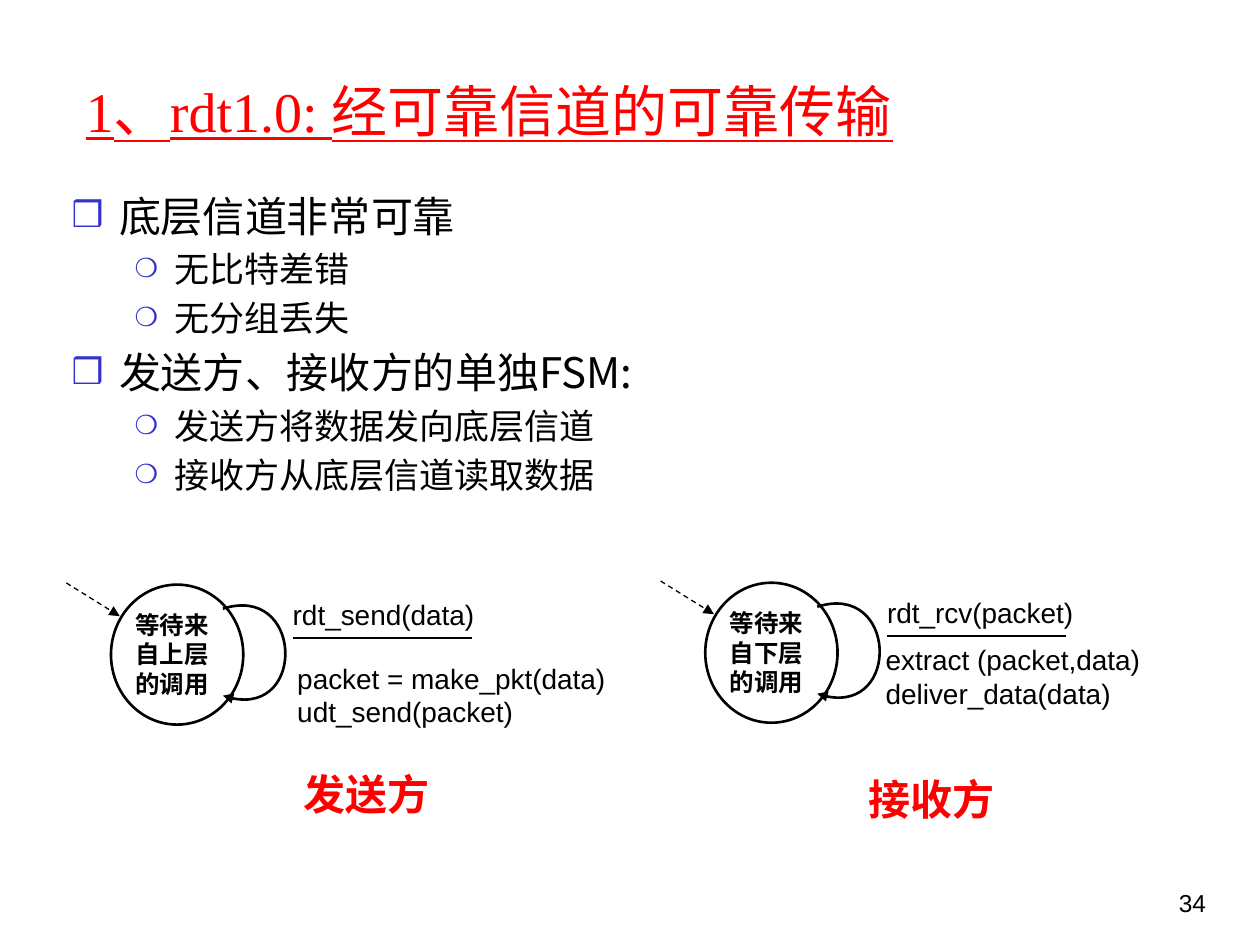
from pptx import Presentation
from pptx.dml.color import RGBColor
from pptx.enum.dml import MSO_LINE
from pptx.enum.shapes import MSO_CONNECTOR, MSO_SHAPE
from pptx.enum.text import MSO_ANCHOR, MSO_AUTO_SIZE, PP_ALIGN
from pptx.oxml.ns import qn
from pptx.util import Pt
from lxml.etree import SubElement

COLORS = {"ink": "000000", "accent": "FF0000", "bullet": "3333CC", "paper": "FFFFFF"}
CJK_FONT = "Noto Sans CJK SC"
FORMATS = {
    "title": {"size": Pt(32), "name": "Times New Roman", "underline": True},
    "topic": {"size": Pt(24), "name": CJK_FONT},
    "detail": {"size": Pt(20), "name": CJK_FONT},
    "state": {"size": Pt(14), "name": "Arial", "bold": True},
    "code": {"size": Pt(16), "name": "Arial"},
    "caption": {"size": Pt(24), "name": "Comic Neue", "bold": True},
    "number": {"size": Pt(14), "name": "Arial"},
}
# bullet character, size in percent, left margin, hanging indent, space before
BULLETS = {
    "topic": ("❒", 85, 27, 27, 4.8),
    "detail": ("❍", 75, 58.5, 22.5, 4),
}
TOPICS = [
    ("topic", "底层信道非常可靠"),
    ("detail", "无比特差错"),
    ("detail", "无分组丢失"),
    ("topic", "发送方、接收方的单独FSM:"),
    ("detail", "发送方将数据发向底层信道"),
    ("detail", "接收方从底层信道读取数据"),
]
MACHINES = [
    {
        "origin": (63.4, 334.1),
        "state": "等待来自上层的调用",
        "event": "rdt_send(data)",
        "actions": ["packet = make_pkt(data)", "udt_send(packet)"],
        "actions_at": (99.4, 40.3),
        "caption": "发送方",
        "caption_at": (102.2, 101.5),
    },
    {
        "origin": (403, 333),
        "state": "等待来自下层的调用",
        "event": "rdt_rcv(packet)",
        "actions": ["extract (packet,data)", "deliver_data(data)"],
        "actions_at": (96, 30.6),
        "caption": "接收方",
        "caption_at": (85.2, 105.5),
    },
]


def color(name):
    return RGBColor.from_string(COLORS[name])


def write(para, text, style, tint="ink"):
    span = para.add_run()
    span.text = text
    span.font.color.rgb = color(tint)
    for key, value in FORMATS[style].items():
        setattr(span.font, key, value)
    SubElement(span.font._element, qn("a:ea"), typeface=CJK_FONT)


def place(shape, left, top, width, height):
    shape.left, shape.top = Pt(left), Pt(top)
    shape.width, shape.height = Pt(width), Pt(height)


def add_label(page, box, lines, style, tint="ink", align=PP_ALIGN.LEFT, wrap=True):
    label = page.shapes.add_textbox(*(Pt(length) for length in box))
    frame = label.text_frame
    frame.word_wrap = wrap
    for index, line in enumerate(lines):
        para = frame.add_paragraph() if index else frame.paragraphs[0]
        para.alignment = align
        write(para, line, style, tint)


def set_stroke(shape, width, dash=None, arrow=False):
    shape.line.color.rgb = color("ink")
    shape.line.width = Pt(width)
    if dash:
        shape.line.dash_style = dash
    if arrow:
        SubElement(shape.line._get_or_add_ln(), qn("a:tailEnd"), type="triangle")


def add_line(page, start, end, width, **stroke):
    line = page.shapes.add_connector(
        MSO_CONNECTOR.STRAIGHT, *(Pt(length) for length in (*start, *end)))
    SubElement(line._element.spPr, qn("a:effectLst"))
    set_stroke(line, width, **stroke)


def add_curve(page, start, *controls):
    """Draw one cubic curve that ends in an arrowhead."""
    points = [(Pt(x), Pt(y)) for x, y in (start, *controls)]
    builder = page.shapes.build_freeform(*points[0])
    builder.add_line_segments(points[1:], close=False)
    curve = builder.convert_to_shape()
    segments = list(curve._element.iter(qn("a:lnTo")))
    bezier = SubElement(segments[0].getparent(), qn("a:cubicBezTo"))
    for segment in segments:
        bezier.append(segment[0])
        segment.getparent().remove(segment)
    curve.shadow.inherit = False
    curve.fill.background()
    set_stroke(curve, 1.5, arrow=True)


def add_bullet(para, style):
    char, percent, margin, hanging, gap = BULLETS[style]
    para.space_before = Pt(gap)
    properties = para._p.get_or_add_pPr()
    properties.set("marL", str(Pt(margin)))
    properties.set("indent", str(-Pt(hanging)))
    tint = SubElement(properties, qn("a:buClr"))
    SubElement(tint, qn("a:srgbClr"), val=COLORS["bullet"])
    SubElement(properties, qn("a:buSzPct"), val=str(percent * 1000))
    SubElement(properties, qn("a:buChar"), char=char)


def fill_title(title, box):
    place(title, *box)
    frame = title.text_frame
    frame.auto_size = MSO_AUTO_SIZE.NONE
    frame.vertical_anchor = MSO_ANCHOR.MIDDLE
    para = frame.paragraphs[0]
    para.alignment = PP_ALIGN.LEFT
    write(para, "1、rdt1.0: 经可靠信道的可靠传输", "title", "accent")


def fill_body(body, box):
    place(body, *box)
    frame = body.text_frame
    frame.auto_size = MSO_AUTO_SIZE.NONE
    for index, (style, text) in enumerate(TOPICS):
        para = frame.add_paragraph() if index else frame.paragraphs[0]
        para.level = int(style == "detail")
        add_bullet(para, style)
        if not index:
            para.space_before = Pt(0)
        write(para, text, style)


def add_machine(page, machine):
    """Draw a one-state machine, measured from the corner of its state."""
    left, top = machine["origin"]

    def at(x, y):
        return left + x, top + y

    state = page.shapes.add_shape(MSO_SHAPE.OVAL, Pt(left), Pt(top), Pt(75.6), Pt(80))
    state.shadow.inherit = False
    state.fill.solid()
    state.fill.fore_color.rgb = color("paper")
    set_stroke(state, 1.5)
    add_label(page, (*at(1, 11), 68, 72), [machine["state"]], "state", align=PP_ALIGN.CENTER)
    add_curve(page, at(64, 13.7), at(109.4, -0.7), at(112.2, 80), at(64, 63.4))
    add_line(page, at(-25.5, -1), at(5, 18), 0.75, dash=MSO_LINE.DASH, arrow=True)
    add_label(page, (*at(96.8, 4), 140, 27), [machine["event"]], "code")
    add_line(page, at(104, 30.4), at(206.2, 30.4), 1.5)
    add_label(page, (*at(*machine["actions_at"]), 210, 47), machine["actions"], "code")
    add_label(page, (*at(*machine["caption_at"]), 88, 36.5), [machine["caption"]],
              "caption", "accent", PP_ALIGN.CENTER, wrap=False)


def main():
    deck = Presentation()
    deck.slide_width, deck.slide_height = Pt(720), Pt(540)
    page = deck.slides.add_slide(deck.slide_layouts[1])
    fill_title(page.shapes.title, (41.8, 18, 630, 90))
    fill_body(page.placeholders[1], (33.8, 105, 622, 201))
    for machine in MACHINES:
        add_machine(page, machine)
    add_label(page, (643, 504, 53.3, 36), ["34"], "number", align=PP_ALIGN.RIGHT)
    deck.save("out.pptx")


if __name__ == "__main__":
    main()
